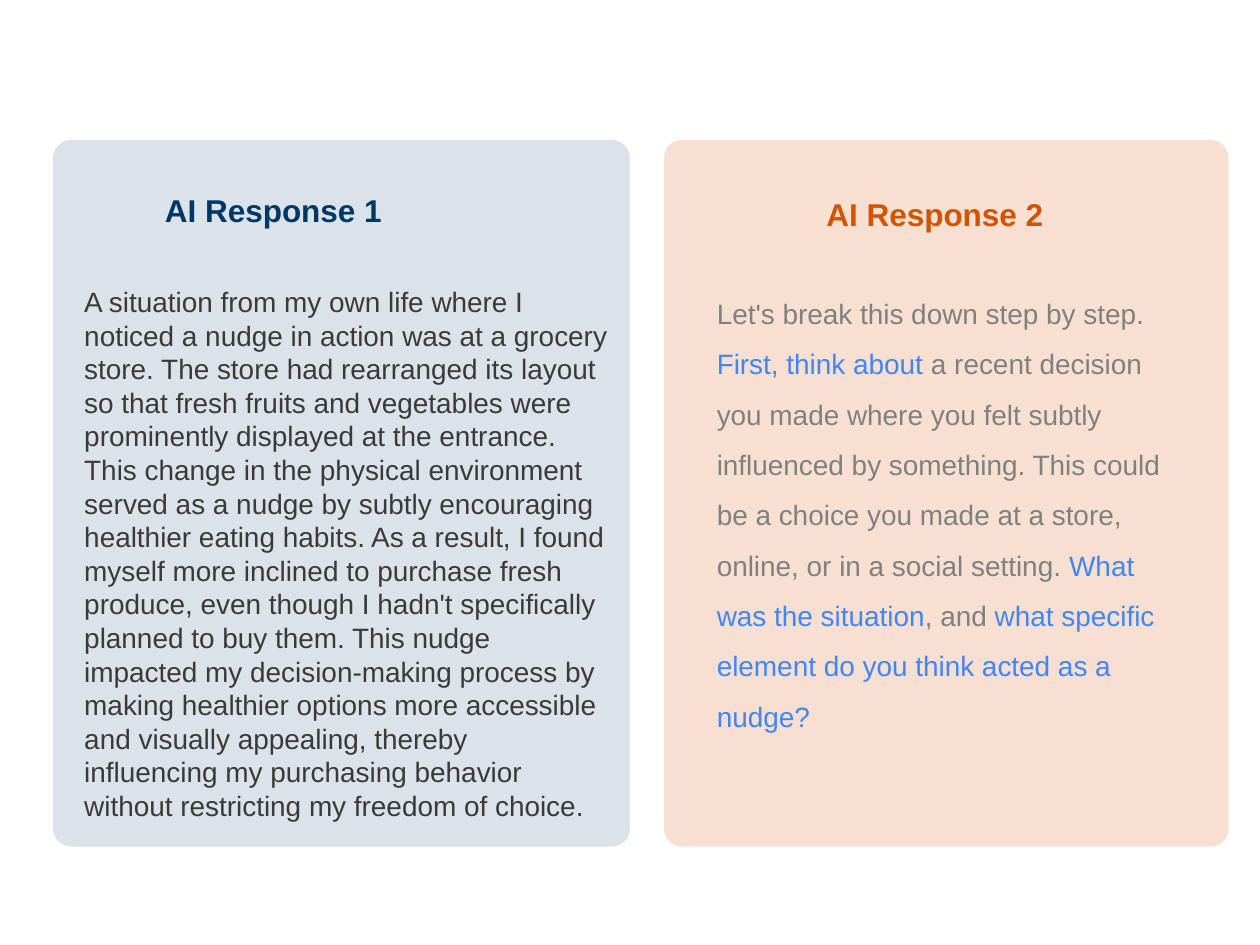
from pptx import Presentation
from pptx.dml.color import RGBColor
from pptx.enum import shapes, text
from pptx.oxml import parse_xml
from pptx.oxml.ns import nsdecls
from pptx.util import Inches, Pt

NAVY = RGBColor(0x00, 0x38, 0x65)
ORANGE = RGBColor(0xD3, 0x54, 0x00)
CHARCOAL = RGBColor(0x3A, 0x3A, 0x3A)
GRAY = RGBColor(0x80, 0x80, 0x80)
BLUE = RGBColor(0x42, 0x85, 0xF4)

PANEL_TOP, PANEL_HEIGHT = 1.11, 5.61

ANSWER = (
    "A situation from my own life where I noticed a nudge in action was at a grocery store. "
    "The store had rearranged its layout so that fresh fruits and vegetables were prominently "
    "displayed at the entrance. This change in the physical environment served as a nudge by "
    "subtly encouraging healthier eating habits. As a result, I found myself more inclined to "
    "purchase fresh produce, even though I hadn't specifically planned to buy them. This nudge "
    "impacted my decision-making process by making healthier options more accessible and "
    "visually appealing, thereby influencing my purchasing behavior without restricting my "
    "freedom of choice."
)
GUIDANCE = [
    ("Let's break this down step by step. ", GRAY),
    ("First, think about ", BLUE),
    ("a recent decision you made where you felt subtly influenced by something. "
     "This could be a choice you made at a store, online, or in a social setting. ", GRAY),
    ("What was the situation", BLUE),
    (", and ", GRAY),
    ("what specific element do you think acted as a nudge?", BLUE),
]


def add_panel(slide, left, width, color, opacity):
    """Add a rounded, tinted panel with the given opacity in percent."""
    panel = slide.shapes.add_shape(
        shapes.MSO_SHAPE.ROUNDED_RECTANGLE,
        Inches(left), Inches(PANEL_TOP), Inches(width), Inches(PANEL_HEIGHT))
    panel.adjustments[0] = 0.032
    panel.shadow.inherit = False
    panel.line.fill.background()
    panel.fill.solid()
    panel.fill.fore_color.rgb = color
    tint = panel.fill._xPr.find(".//{*}srgbClr")
    tint.append(parse_xml(f'<a:alpha {nsdecls("a")} val="{opacity * 1000}"/>'))


def add_text(slide, runs, left, top, width, height, size=16, bold=False, spacing=None):
    """Add a wrapped text box with one paragraph of (wording, color) runs."""
    box = slide.shapes.add_textbox(Inches(left), Inches(top), Inches(width), Inches(height))
    frame = box.text_frame
    frame.word_wrap = True
    frame.auto_size = text.MSO_AUTO_SIZE.SHAPE_TO_FIT_TEXT
    paragraph = frame.paragraphs[0]
    if spacing:
        paragraph.line_spacing = spacing
    for wording, color in runs:
        run = paragraph.add_run()
        run.text = wording
        run.font.name = "Arial"
        run.font.size = Pt(size)
        run.font.bold = bold
        run.font.color.rgb = color


def add_heading(slide, wording, color, left, top):
    """Add a bold panel heading."""
    add_text(slide, [(wording, color)], left, top, 2.28, 0.4, size=18, bold=True)


def main():
    """Build the comparison of two AI responses."""
    prs = Presentation()
    prs.slide_width, prs.slide_height = Inches(10), Inches(7.5)
    slide = prs.slides.add_slide(prs.slide_layouts[6])

    add_panel(slide, 5.27, 4.48, ORANGE, 18)
    add_text(slide, GUIDANCE, 5.59, 2.17, 3.82, 3.69, spacing=1.5)
    add_heading(slide, "AI Response 2", ORANGE, 6.46, 1.5)

    add_panel(slide, 0.42, 4.58, NAVY, 14)
    add_text(slide, [(ANSWER, CHARCOAL)], 0.57, 2.21, 4.35, 4.41)
    add_heading(slide, "AI Response 1", NAVY, 1.21, 1.47)

    prs.save("out.pptx")


if __name__ == "__main__":
    main()
